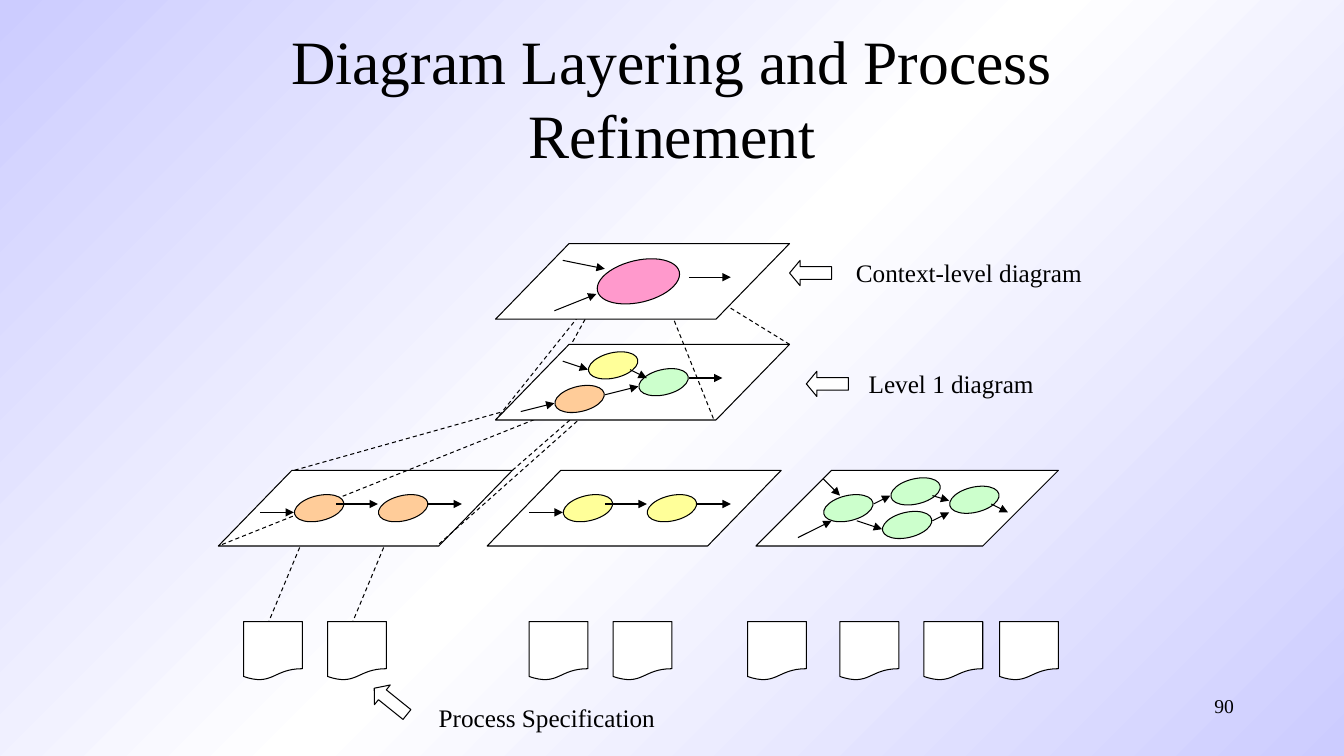
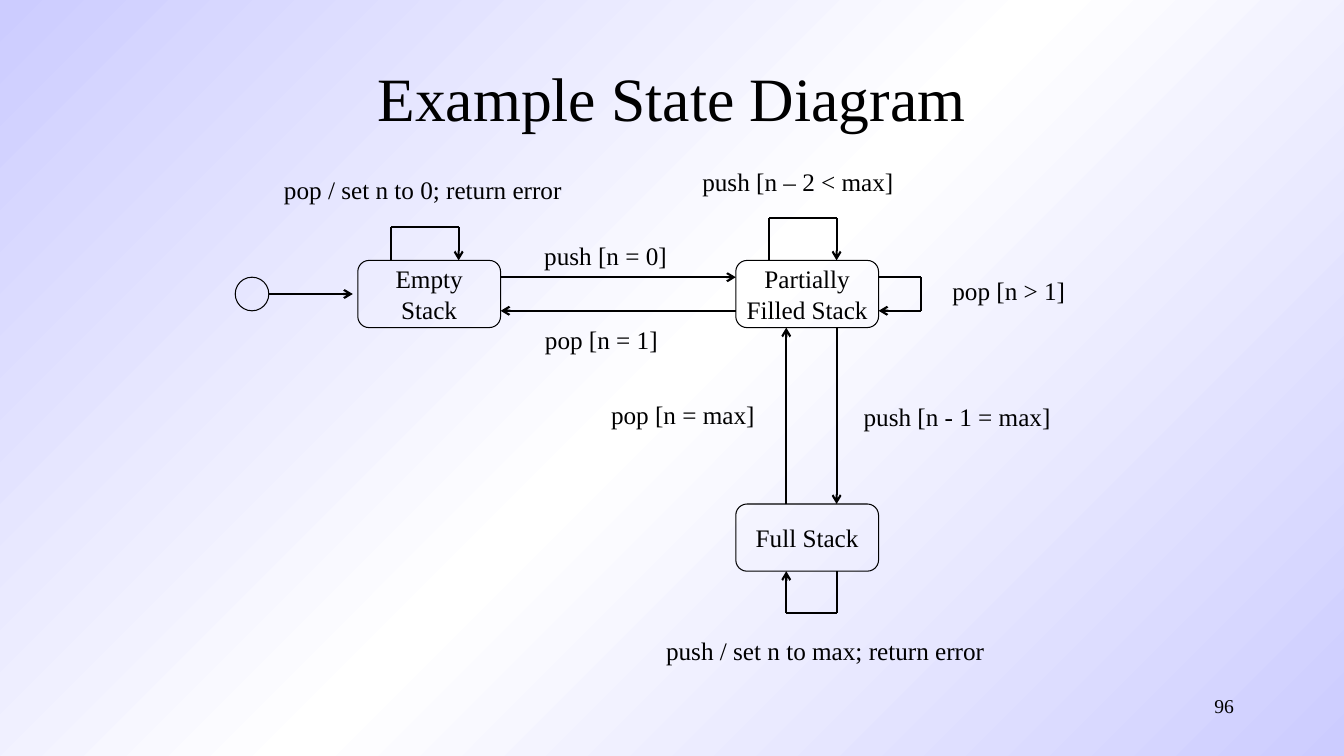
from copy import deepcopy

from lxml import etree
from pptx import Presentation
from pptx import util as u
from pptx.dml.color import RGBColor
from pptx.enum import dml, shapes, text
from pptx.oxml.ns import qn

COLORS = {
    "ink": "000000", "paper": "FFFFFF", "edge": "CCCCFF",
    "pink": "FF99CC", "orange": "FFCC99", "yellow": "FFFF99", "green": "CCFFCC",
}
FONT = "Times New Roman"
COLUMNS, ROWS = 160, 90  # square grid cells, twelve to the inch
TILT = 346.7
SHAPE = shapes.MSO_SHAPE
ALIGN = text.PP_ALIGN


def cells(*lengths):
    return [u.Inches(length / 12) for length in lengths]


def color(name):
    return RGBColor.from_string(COLORS[name])


def write(frame, content, size=18, align=ALIGN.CENTER, anchor=text.MSO_ANCHOR.TOP,
          wrap=False, fit=text.MSO_AUTO_SIZE.NONE):
    frame.text = content
    frame.word_wrap = wrap
    frame.auto_size = fit
    frame.vertical_anchor = anchor
    for paragraph in frame.paragraphs:
        paragraph.alignment = align
        for run in paragraph.runs:
            run.font.name = FONT
            run.font.size = u.Pt(size)
            run.font.color.rgb = color("ink")


def add_label(slide, content, left, top, width):
    box = slide.shapes.add_textbox(*cells(left, top, width, 4.8))
    write(box.text_frame, content, fit=text.MSO_AUTO_SIZE.SHAPE_TO_FIT_TEXT)


def add_outline(slide, kind, box, fill=None, rotation=0, adjustments=()):
    shape = slide.shapes.add_shape(kind, *cells(*box))
    shape.shadow.inherit = False
    shape.rotation = rotation
    for index, value in enumerate(adjustments):
        shape.adjustments[index] = value
    if fill:
        shape.fill.solid()
        shape.fill.fore_color.rgb = color(fill)
    else:
        shape.fill.background()
    shape.line.color.rgb = color("ink")
    shape.line.width = u.Pt(0.75)
    return shape


def add_line(slide, start, end, width=0.75, dashed=False, arrow=None):
    connector = slide.shapes.add_connector(
        shapes.MSO_CONNECTOR.STRAIGHT, *cells(*start, *end))
    connector.line.color.rgb = color("ink")
    connector.line.width = u.Pt(width)
    if dashed:
        connector.line.dash_style = dml.MSO_LINE.DASH
    properties = connector.element.spPr
    if arrow:
        etree.SubElement(properties.find(qn("a:ln")), qn("a:tailEnd"), type=arrow)
    etree.SubElement(properties, qn("a:effectLst"))


# Shared look: gradient background and title position
def set_template(presentation):
    master = presentation.slide_master
    fill = master.background.fill
    fill.gradient()
    fill.gradient_angle = 315
    stop_list = master.element.find(".//" + qn("a:gsLst"))
    stop_list.insert(1, deepcopy(stop_list[0]))
    looks = [(0, "edge"), (0.5, "paper"), (1, "edge")]
    for stop, (position, name) in zip(fill.gradient_stops, looks):
        stop.position = position
        stop.color.rgb = color(name)
    layout = presentation.slide_layouts.get_by_name("Title Only")
    title = layout.placeholders[0]
    title.left, title.top, title.width, title.height = cells(29, 4, 102, 15)
    return layout


def add_slide(presentation, layout, title, number):
    slide = presentation.slides.add_slide(layout)
    write(slide.shapes.title.text_frame, title, size=44, wrap=True,
          anchor=text.MSO_ANCHOR.MIDDLE)
    footer = slide.shapes.add_textbox(*cells(114.7, 82, 33.4, 6))
    write(footer.text_frame, number, size=14, align=ALIGN.RIGHT, wrap=True)
    return slide


# Layer diagram: bubbles are (left, top, fill) and flows (x1, y1, x2, y2),
# both counted from the sheet's top left corner
def pair_flow(fill):
    return {"bubbles": [(9, 3, fill), (19, 3, fill)],
            "flows": [(5, 5, 9, 5), (14, 4, 19, 4), (25, 4, 29, 4)]}


LAYERS = [
    {"box": (26, 56, 35, 9), **pair_flow("orange"),
     "refines": [(61, 56, 69, 49), (70, 49, 52, 65), (67, 47, 35, 56), (66, 49, 26, 65)]},
    {"box": (59, 41, 35, 9),
     "bubbles": [(7, 5, "orange"), (11, 1, "yellow"), (17, 3, "green")],
     "flows": [(8, 2, 11, 3), (3, 8, 7, 7), (23, 4, 27, 4), (13, 6, 17, 5), (16, 3, 18, 4)],
     "refines": [(79, 35, 85, 50), (71, 35, 59, 50), (94, 41, 81, 33), (73, 32, 68, 41)]},
    {"box": (59, 29, 35, 9), "bubble_size": (10, 5), "bubbles": [(12, 2, "pink")],
     "flows": [(8, 2, 13, 3), (7, 8, 12, 6), (23, 4, 28, 4)]},
    {"box": (58, 56, 35, 9), **pair_flow("yellow")},
    {"box": (90, 56, 36, 9),
     "bubbles": [(8, 3, "green"), (16, 1, "green"), (15, 5, "green"), (23, 2, "green")],
     "flows": [(5, 8, 9, 6), (14, 4, 16, 3), (8, 1, 10, 3), (12, 6, 15, 7),
               (21, 6, 23, 5), (21, 3, 23, 3.6), (28, 4, 30, 5)]},
]


def add_dashes(slide, lines):
    for x1, y1, x2, y2 in lines:
        add_line(slide, (x1, y1), (x2, y2), dashed=True)


def add_sheet(slide, box):
    slant = 35 / 36 if box[2] == 35 else 1
    add_outline(slide, SHAPE.PARALLELOGRAM, box, "paper", adjustments=[slant])


def add_flow(slide, box, bubbles, flows, bubble_size=(6, 3)):
    left, top = box[:2]
    for x, y, fill in bubbles:
        add_outline(slide, SHAPE.OVAL, (left + x, top + y, *bubble_size), fill, TILT)
    for x1, y1, x2, y2 in flows:
        add_line(slide, (left + x1, top + y1), (left + x2, top + y2), arrow="triangle")


def add_callout(slide, content, label, pointer, rotation=0):
    add_label(slide, content, *label)
    add_outline(slide, SHAPE.LEFT_ARROW, (*pointer, 5, 3), "paper", rotation, [0.5, 0.417])


def build_layering(slide):
    add_dashes(slide, [(37, 62, 32, 74), (47, 62, 42, 74)])
    for layer in LAYERS:
        add_sheet(slide, layer["box"])
        add_dashes(slide, layer.get("refines", []))
    for layer in LAYERS:
        add_flow(slide, layer["box"], layer["bubbles"], layer["flows"],
                 layer.get("bubble_size", (6, 3)))
    # Process specifications
    for left in (29, 39, 63, 73, 89, 100, 110, 119):
        add_outline(slide, SHAPE.FLOWCHART_DOCUMENT, (left, 74, 7, 7), "paper")
    add_callout(slide, "Context-level diagram", (100.7, 30, 29.3), (94, 31))
    add_callout(slide, "Level 1 diagram", (102.2, 43.2, 22.1), (96, 44.2))
    add_callout(slide, "Process Specification", (51, 83, 28.2), (44, 82), 38.8)


# State diagram: every state has the same size
STATE_SIZE = WIDE, HIGH = 17, 8
EMPTY, PARTIAL, FULL = (42.6, 31), (87.6, 31), (87.6, 60)


def add_state(slide, corner, name):
    state = add_outline(slide, SHAPE.FLOWCHART_ALTERNATE_PROCESS, (*corner, *STATE_SIZE))
    write(state.text_frame, name, anchor=text.MSO_ANCHOR.MIDDLE)


def add_transition(slide, corner, *points):
    """Chain of lines with an open arrow at its end, counted from a state's corner."""
    spots = [(corner[0] + x, corner[1] + y) for x, y in points]
    for start, end in zip(spots, spots[1:]):
        add_line(slide, start, end, width=1.5, arrow="arrow" if end == spots[-1] else None)


def build_states(slide):
    add_state(slide, EMPTY, "Empty\nStack")
    add_state(slide, PARTIAL, "Partially\nFilled Stack")
    add_state(slide, FULL, "Full Stack")
    add_outline(slide, SHAPE.OVAL, (28, 33, 4, 4))
    add_line(slide, (32, 35), (42, 35), width=1.5, arrow="arrow")

    # Moves between states
    across, down = PARTIAL[0] - EMPTY[0], FULL[1] - PARTIAL[1]
    add_transition(slide, EMPTY, (WIDE, 2), (across, 2))
    add_transition(slide, EMPTY, (across, 6), (WIDE, 6))
    add_transition(slide, PARTIAL, (6, down), (6, HIGH))
    add_transition(slide, PARTIAL, (12, HIGH), (12, down))

    # Loops back to the same state
    for corner, rise in ((EMPTY, 4), (PARTIAL, 5)):
        add_transition(slide, corner, (4, 0), (4, -rise), (12, -rise), (12, 0))
    add_transition(slide, PARTIAL, (WIDE, 2), (WIDE + 5, 2), (WIDE + 5, 6), (WIDE, 6))
    add_transition(slide, FULL, (12, HIGH), (12, HIGH + 5), (6, HIGH + 5), (6, HIGH))

    for content, left, top, width in (
        ("push [n = 0]", 63.6, 28, 17),
        ("pop [n = 1]", 63.7, 38, 15.8),
        ("push [n - 1 = max]", 101.6, 47.2, 24.7),
        ("push [n – 2 < max]", 82.4, 19.2, 25.2),
        ("pop [n > 1]", 112.2, 32.2, 15.8),
        ("pop [n = max]", 71.5, 47, 19.6),
        ("pop / set n to 0; return error", 32.6, 20.2, 35.5),
        ("push / set n to max; return error", 78.1, 75, 40.3),
    ):
        add_label(slide, content, left, top, width)


def main():
    presentation = Presentation()
    presentation.slide_width, presentation.slide_height = cells(COLUMNS, ROWS)
    layout = set_template(presentation)
    build_layering(add_slide(
        presentation, layout, "Diagram Layering and Process Refinement", "90"))
    build_states(add_slide(presentation, layout, "Example State Diagram", "96"))
    presentation.save("out.pptx")


if __name__ == "__main__":
    main()
